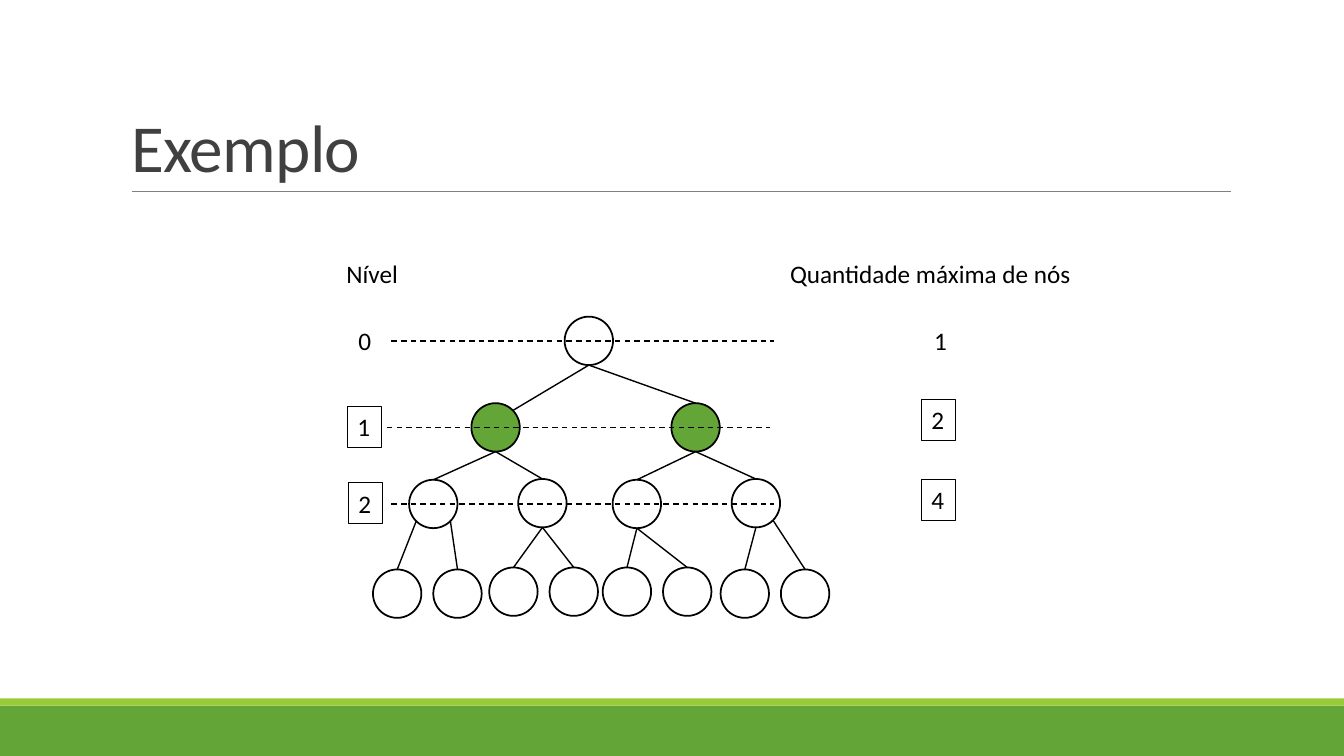
from lxml import etree
from pptx import Presentation
from pptx.dml.color import RGBColor
from pptx.enum.dml import MSO_LINE
from pptx.enum.shapes import MSO_CONNECTOR, MSO_SHAPE
from pptx.enum.text import MSO_ANCHOR, MSO_AUTO_SIZE, PP_ALIGN
from pptx.oxml.ns import qn
from pptx.util import Cm, Pt

BLACK = RGBColor(0x00, 0x00, 0x00)
WHITE = RGBColor(0xFF, 0xFF, 0xFF)
GREEN = RGBColor(0x63, 0xA5, 0x37)
LIME = RGBColor(0x99, 0xCB, 0x38)
GRAY = RGBColor(0x80, 0x80, 0x80)
DARK = RGBColor(0x40, 0x40, 0x40)
FONT = "Calibri"
LINE = MSO_CONNECTOR.STRAIGHT
RECT, OVAL = MSO_SHAPE.RECTANGLE, MSO_SHAPE.OVAL
DASH = MSO_LINE.DASH
BOTTOM = MSO_ANCHOR.BOTTOM
LEFT = PP_ALIGN.LEFT
FIXED, GROW = MSO_AUTO_SIZE.NONE, MSO_AUTO_SIZE.SHAPE_TO_FIT_TEXT

deck = Presentation()
deck.slide_width, deck.slide_height = Cm(33.87), Cm(19.05)
slide = deck.slides.add_slide(deck.slide_layouts[5])
shapes = slide.shapes


def add_line(x1, y1, x2, y2, color=BLACK, width=1):
    line = shapes.add_connector(LINE, Cm(x1), Cm(y1), Cm(x2), Cm(y2))
    line.line.color.rgb = color
    line.line.width = Pt(width)
    etree.SubElement(line._element.spPr, qn("a:effectLst"))
    return line


def add_solid(kind, left, top, width, height, color):
    solid = shapes.add_shape(kind, Cm(left), Cm(top), Cm(width), Cm(height))
    solid.shadow.inherit = False
    solid.fill.solid()
    solid.fill.fore_color.rgb = color
    solid.line.fill.background()
    return solid


add_solid(RECT, 0, 17.78, 33.87, 1.27, GREEN)
add_solid(RECT, 0, 17.6, 33.87, 0.18, LIME)
add_line(3.33, 4.82, 31.01, 4.82, GRAY, 0.5)

title = shapes.title
title.left, title.top = Cm(3.05), Cm(0.79)
title.width, title.height = Cm(27.94), Cm(4.04)
frame = title.text_frame
frame.auto_size = FIXED
frame.vertical_anchor = BOTTOM
para = frame.paragraphs[0]
para.alignment = LEFT
para.line_spacing = 0.85
run = para.add_run()
run.text = "Exemplo"
run.font.name = FONT
run.font.size = Pt(48)
run.font.color.rgb = DARK
run._r.get_or_add_rPr().set("spc", "-50")

SIZE = 1.22
tree = [
    [(14.84, 7.98)],
    [(12.49, 10.16), (17.53, 10.16)],
    [(10.92, 12.09), (13.67, 12.07), (16.05, 12.09), (19.05, 12.07)],
    [(mid + side, top)
     for mid, top in [(10.77, 14.35), (13.7, 14.3), (16.56, 14.3), (19.53, 14.35)]
     for side in (-0.76, 0.76)],
]
# level and index of a child: shift of the start, shift of the end
shifts = {
    (1, 0): (0, 0, 0.44, 0.18),
    (3, 0): (-0.43, -0.18, 0, 0),
    (3, 1): (0.43, -0.18, 0, 0),
    (3, 7): (0.43, -0.18, 0, 0),
}
for level, row in enumerate(tree):
    for index, (mid, top) in enumerate(row):
        color = GREEN if level == 1 else WHITE
        node = add_solid(OVAL, mid - SIZE / 2, top, SIZE, SIZE, color)
        node.line.color.rgb = BLACK
        node.line.width = Pt(1.25)
        if level:
            up_mid, up_top = tree[level - 1][index // 2]
            dx1, dy1, dx2, dy2 = shifts.get((level, index), (0, 0, 0, 0))
            add_line(up_mid + dx1, up_top + SIZE + dy1, mid + dx2, top + dy2)

for left, y in [(9.86, 8.59), (9.75, 10.77), (9.86, 12.7)]:
    add_line(left, y, left + 9.65, y).line.dash_style = DASH

labels = [
    ("Nível", 8.48, 6.38, 1.83, False),
    ("Quantidade máxima de nós", 19.66, 6.38, 7.67, False),
    ("0", 8.78, 8.08, 0.85, False),
    ("1", 8.76, 10.24, 0.85, True),
    ("2", 8.78, 12.17, 0.85, True),
    ("1", 23.29, 8.08, 0.85, False),
    ("2", 23.22, 10.06, 0.85, True),
    ("4", 23.22, 12.09, 0.85, True),
]
for text, left, top, width, framed in labels:
    label = shapes.add_textbox(Cm(left), Cm(top), Cm(width), Cm(1.03))
    label.text_frame.word_wrap = False
    label.text_frame.auto_size = GROW
    if framed:
        label.line.color.rgb = BLACK
        label.line.width = Pt(0.75)
    run = label.text_frame.paragraphs[0].add_run()
    run.text = text
    run.font.name = FONT
    run.font.size = Pt(18)
    run.font.color.rgb = BLACK

deck.save("out.pptx")
